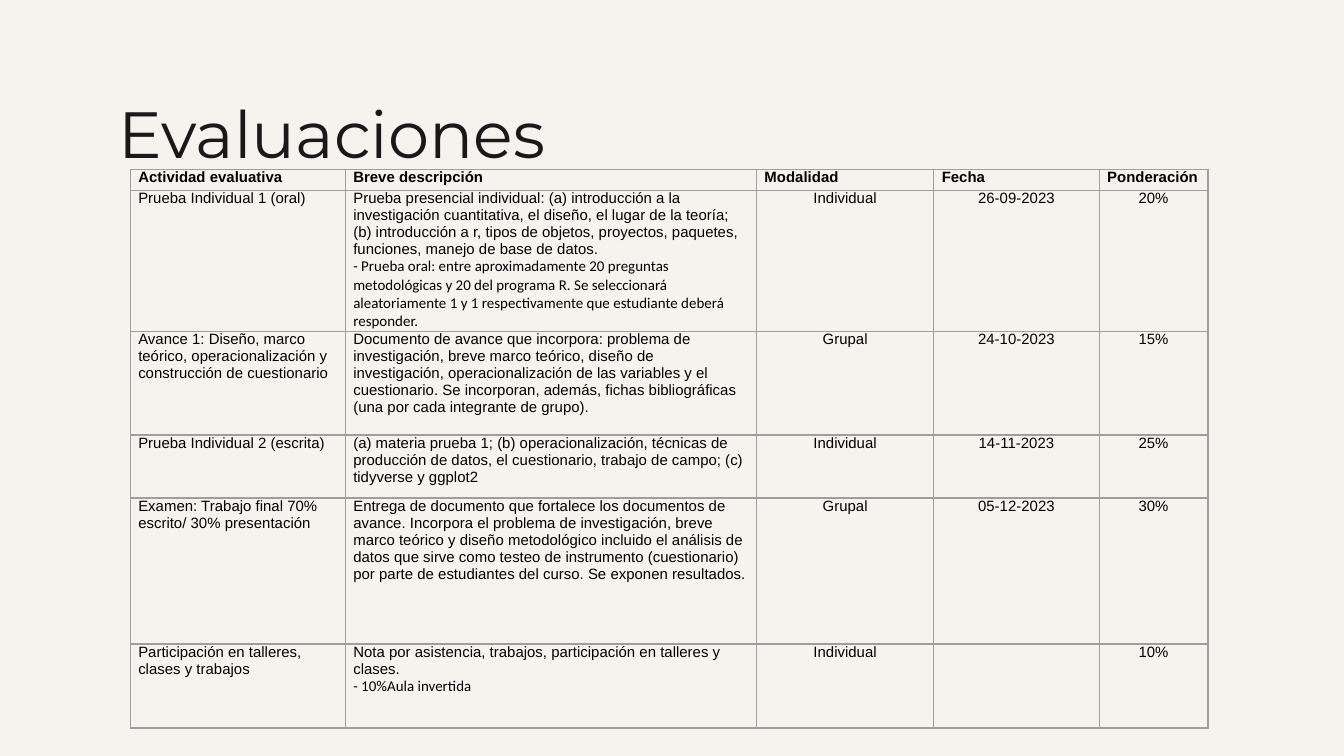
from dataclasses import dataclass

from lxml.etree import SubElement
from pptx import Presentation
from pptx.dml.color import RGBColor
from pptx.enum.text import MSO_ANCHOR, MSO_AUTO_SIZE, PP_ALIGN as Align
from pptx.oxml.ns import qn
from pptx.util import Pt


@dataclass(frozen=True)
class Theme:
    background: str = "F5F3ED"
    title_ink: str = "191919"
    ink: str = "000000"
    border: str = "9E9E9E"
    title_font: str = "Montserrat"
    body_font: str = "Arial"
    detail_font: str = "Calibri"
    title_size: int = 35
    body_size: int = 8
    border_width: float = 0.75


THEME = Theme()
TITLE_ONLY = 5
COLUMN_WIDTHS = [115.2, 220.3, 95, 88.6, 58.3]
ROW_HEIGHTS = [11.25, 75.5, 55.7, 33.75, 78.2, 45]
COLUMN_ALIGNMENTS = [Align.LEFT, Align.LEFT, Align.CENTER, Align.CENTER, Align.CENTER]

HEADINGS = ["Actividad evaluativa", "Breve descripción", "Modalidad", "Fecha", "Ponderación"]
# Within a cell, lines after the first are details in the second font.
EVALUATIONS = [
    ["Prueba Individual 1 (oral)",
     "Prueba presencial individual: (a) introducción a la investigación cuantitativa, "
     "el diseño, el lugar de la teoría; (b) introducción a r, tipos de objetos, proyectos, "
     "paquetes, funciones, manejo de base de datos.\n"
     "- Prueba oral: entre aproximadamente 20 preguntas metodológicas y 20 del programa R. "
     "Se seleccionará aleatoriamente 1 y 1 respectivamente que estudiante deberá responder.",
     "Individual", "26-09-2023", "20%"],
    ["Avance 1: Diseño, marco teórico, operacionalización y construcción de cuestionario",
     "Documento de avance que incorpora: problema de investigación, breve marco teórico, "
     "diseño de investigación, operacionalización de las variables y el cuestionario. "
     "Se incorporan, además, fichas bibliográficas (una por cada integrante de grupo).",
     "Grupal", "24-10-2023", "15%"],
    ["Prueba Individual 2 (escrita)",
     "(a) materia prueba 1; (b) operacionalización, técnicas de producción de datos, "
     "el cuestionario, trabajo de campo; (c) tidyverse y ggplot2",
     "Individual", "14-11-2023", "25%"],
    ["Examen: Trabajo final 70% escrito/ 30% presentación",
     "Entrega de documento que fortalece los documentos de avance. Incorpora el problema "
     "de investigación, breve marco teórico y diseño metodológico incluido el análisis de "
     "datos que sirve como testeo de instrumento (cuestionario) por parte de estudiantes "
     "del curso. Se exponen resultados.",
     "Grupal", "05-12-2023", "30%"],
    ["Participación en talleres, clases y trabajos",
     "Nota por asistencia, trabajos, participación en talleres y clases.\n"
     "- 10%Aula invertida",
     "Individual", "", "10%"],
]


def style_paragraph(paragraph, font_name, size, color, align, bold=False):
    paragraph.alignment = align
    font = paragraph.font
    font.name, font.size, font.bold = font_name, Pt(size), bold
    font.color.rgb = RGBColor.from_string(color)


def add_title(slide, text):
    title = slide.shapes.title
    title.left, title.top, title.width, title.height = Pt(56.2), Pt(42.5), Pt(607.7), Pt(37.4)
    frame = title.text_frame
    frame.text = text
    frame.word_wrap = True
    frame.auto_size = MSO_AUTO_SIZE.NONE
    frame.vertical_anchor = MSO_ANCHOR.TOP
    frame.margin_left = frame.margin_right = frame.margin_top = frame.margin_bottom = Pt(7.2)
    style_paragraph(frame.paragraphs[0], THEME.title_font, THEME.title_size,
                    THEME.title_ink, Align.LEFT)


def draw_borders(cell):
    properties = cell._tc.get_or_add_tcPr()
    for side in ("lnL", "lnR", "lnT", "lnB"):
        line = SubElement(properties, qn(f"a:{side}"), w=str(Pt(THEME.border_width)))
        fill = SubElement(line, qn("a:solidFill"))
        SubElement(fill, qn("a:srgbClr"), val=THEME.border)


def fill_cell(cell, text, align, bold):
    cell.margin_left = cell.margin_right = Pt(4.3)
    cell.margin_top = cell.margin_bottom = 0
    cell.vertical_anchor = MSO_ANCHOR.TOP
    draw_borders(cell)
    cell.fill.background()
    cell.text = text
    for index, paragraph in enumerate(cell.text_frame.paragraphs):
        font_name = THEME.detail_font if index else THEME.body_font
        style_paragraph(paragraph, font_name, THEME.body_size, THEME.ink, align, bold)


def add_evaluation_table(slide):
    rows = [HEADINGS, *EVALUATIONS]
    table = slide.shapes.add_table(
        len(rows), len(HEADINGS), Pt(69.8), Pt(90.7),
        Pt(sum(COLUMN_WIDTHS)), Pt(sum(ROW_HEIGHTS))).table
    table.first_row = table.horz_banding = False
    for column, width in zip(table.columns, COLUMN_WIDTHS):
        column.width = Pt(width)
    for row_index, (texts, height) in enumerate(zip(rows, ROW_HEIGHTS)):
        table.rows[row_index].height = Pt(height)
        is_heading = row_index == 0
        for column_index, text in enumerate(texts):
            align = Align.JUSTIFY if is_heading else COLUMN_ALIGNMENTS[column_index]
            fill_cell(table.cell(row_index, column_index), text, align, is_heading)


def main():
    presentation = Presentation()
    presentation.slide_width, presentation.slide_height = Pt(720), Pt(405)
    slide = presentation.slides.add_slide(presentation.slide_layouts[TITLE_ONLY])
    backdrop = slide.background.fill
    backdrop.solid()
    backdrop.fore_color.rgb = RGBColor.from_string(THEME.background)
    add_title(slide, "Evaluaciones")
    add_evaluation_table(slide)
    presentation.save("out.pptx")


if __name__ == "__main__":
    main()
